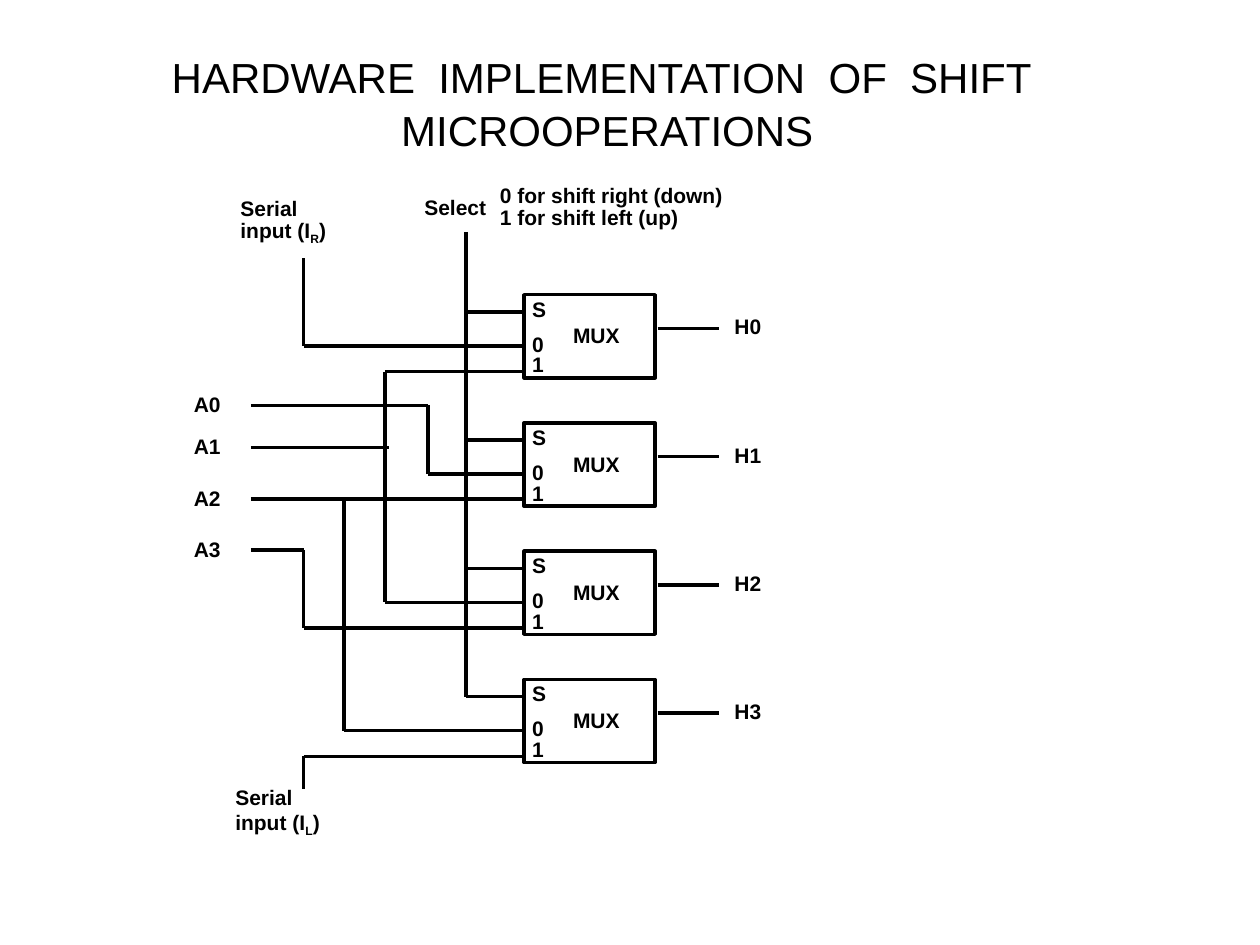
from lxml.etree import SubElement
from pptx import Presentation
from pptx.dml.color import RGBColor
from pptx.enum.shapes import MSO_CONNECTOR as Connector, MSO_SHAPE as Shape
from pptx.enum.text import MSO_ANCHOR as Anchor, MSO_AUTO_SIZE as AutoSize, PP_ALIGN as Align
from pptx.oxml.ns import qn
from pptx.util import Pt

BLACK = RGBColor(0, 0, 0)
LABEL_FONT = {"name": "Arial", "size": Pt(12), "bold": True}
TITLE_FONT = {"name": "Arial", "size": Pt(24), "bold": False}

# Content: all lengths in points
TITLE = "HARDWARE  IMPLEMENTATION  OF  SHIFT  MICROOPERATIONS"
OUTPUTS = ["H0", "H1", "H2", "H3"]
INPUTS = {"A0": 231.6, "A1": 255.6, "A2": 285.2, "A3": 314.4}  # height of each wire

# Multiplexer column: box, pin heights and label places within one box
MUX_LEFT, MUX_TOP, MUX_PITCH = 299.5, 168.4, 73.3
MUX_WIDTH, MUX_HEIGHT = 74.9, 47.5
PINS = {"S": 9.8, "0": 29.2, "1": 43.9}
OUT_PIN, OUT_LEFT, OUT_RIGHT = 19.2, 375.8, 411.1
MUX_LABELS = [  # text, left, top within the box, width
    ("S", 297, -1.1, 22.3),
    ("0", 297, 18.9, 20.9),
    ("1", 297, 30.8, 20.9),
    ("MUX", 320.4, 14.2, 41),
]

# Vertical wires
SELECT_X, A0_X, A1_X, A2_X, SERIAL_X = 266.3, 244.6, 220, 196.6, 173.5
INPUT_LEFT = 143.3

# Free labels: left, top, width, height, line spacing, lines of (text, baseline) runs
CAPTIONS = [
    (235.4, 109.4, 49.7, 20.2, 0.9, [[("Select", 0)]]),
    (278.6, 102.2, 144.7, 33.1, 0.9,
     [[("0 for shift right (down)", 0)], [("1 for shift left (up)", 0)]]),
    (130.3, 110.9, 63.4, 43.2, 0.8,
     [[("Serial", 0)], [("input (I", 0), ("R", -25000), (")", 0)]]),
    (127.4, 446.4, 65.5, 47.5, 0.9,
     [[("Serial", 0)], [("input (I", 0), ("L", -25000), (")", 0)]]),
]


def pin_y(mux, pin):
    return MUX_TOP + mux * MUX_PITCH + PINS[pin]


def to_pin(mux, pin, *points):
    """Wire through the points, then level into a multiplexer pin."""
    level = pin_y(mux, pin)
    return [*points, (points[-1][0], level), (MUX_LEFT, level)]


def input_to(name, x):
    return [(INPUT_LEFT, INPUTS[name]), (x, INPUTS[name])]


WIRES = [
    to_pin(0, "0", (SERIAL_X, 147.6)),
    to_pin(3, "1", (SERIAL_X, 450.7)),
    to_pin(1, "0", *input_to("A0", A0_X)),
    input_to("A1", A1_X + 2.2),
    to_pin(2, "0", (MUX_LEFT, pin_y(0, "1")), (A1_X, pin_y(0, "1"))),
    input_to("A2", MUX_LEFT),
    to_pin(3, "0", (A2_X, INPUTS["A2"])),
    to_pin(2, "1", *input_to("A3", SERIAL_X)),
    to_pin(3, "S", (SELECT_X, 132.5)),
    *[[(SELECT_X, pin_y(mux, "S")), (MUX_LEFT, pin_y(mux, "S"))] for mux in range(3)],
]


def set_font(font, values):
    for name, value in values.items():
        setattr(font, name, value)
    font.color.rgb = BLACK


def add_label(page, left, top, width, height, spacing, lines):
    box = page.shapes.add_textbox(Pt(left), Pt(top), Pt(width), Pt(height))
    frame = box.text_frame
    frame.word_wrap = False
    frame.auto_size = AutoSize.SHAPE_TO_FIT_TEXT
    for index, line in enumerate(lines):
        para = frame.add_paragraph() if index else frame.paragraphs[0]
        para.line_spacing = spacing
        for text, baseline in line:
            span = para.add_run()
            span.text = text
            set_font(span.font, LABEL_FONT)
            if baseline:
                span.font._element.set("baseline", str(baseline))


def add_short_label(page, text, left, top, width):
    add_label(page, left, top, width, 20.2, 0.9, [[(text, 0)]])


def add_wire(page, points):
    for (x1, y1), (x2, y2) in zip(points, points[1:]):
        wire = page.shapes.add_connector(Connector.STRAIGHT, Pt(x1), Pt(y1), Pt(x2), Pt(y2))
        wire.line.color.rgb = BLACK
        wire.line.width = Pt(2)
        SubElement(wire._element.spPr, qn("a:effectLst"))


def add_title(page):
    title = page.shapes.title
    title.left, title.top, title.width, title.height = Pt(0), Pt(27.4), Pt(694), Pt(62)
    frame = title.text_frame
    margins = {"margin_left": Pt(5), "margin_right": Pt(5),
               "margin_top": Pt(2.2), "margin_bottom": Pt(2.2)}
    for name, value in margins.items():
        setattr(frame, name, value)
    frame.word_wrap = True
    frame.vertical_anchor = Anchor.MIDDLE
    para = frame.paragraphs[0]
    para.alignment = Align.CENTER
    para.line_spacing = 1.05
    span = para.add_run()
    span.text = TITLE
    set_font(span.font, TITLE_FONT)


def add_mux(page, index, output):
    top = MUX_TOP + index * MUX_PITCH
    box = page.shapes.add_shape(Shape.RECTANGLE, Pt(MUX_LEFT), Pt(top),
                                Pt(MUX_WIDTH), Pt(MUX_HEIGHT))
    box.shadow.inherit = False
    box.fill.background()
    box.line.color.rgb = BLACK
    box.line.width = Pt(2)
    for text, left, offset, width in MUX_LABELS:
        add_short_label(page, text, left, top + offset, width)
    add_wire(page, [(OUT_LEFT, top + OUT_PIN), (OUT_RIGHT, top + OUT_PIN)])
    add_short_label(page, output, 412.6, top + 9.1, 29.5)


def main():
    deck = Presentation()
    deck.slide_width, deck.slide_height = Pt(720), Pt(540)
    page = deck.slides.add_slide(deck.slide_layouts[5])
    add_title(page)

    # Multiplexers with their outputs
    for index, output in enumerate(OUTPUTS):
        add_mux(page, index, output)

    # Wiring
    for points in WIRES:
        add_wire(page, points)

    # Input names and captions
    for name, level in INPUTS.items():
        add_short_label(page, name, 103.7, level - 9.7, 29.5)
    for caption in CAPTIONS:
        add_label(page, *caption)

    deck.save("out.pptx")


if __name__ == "__main__":
    main()
